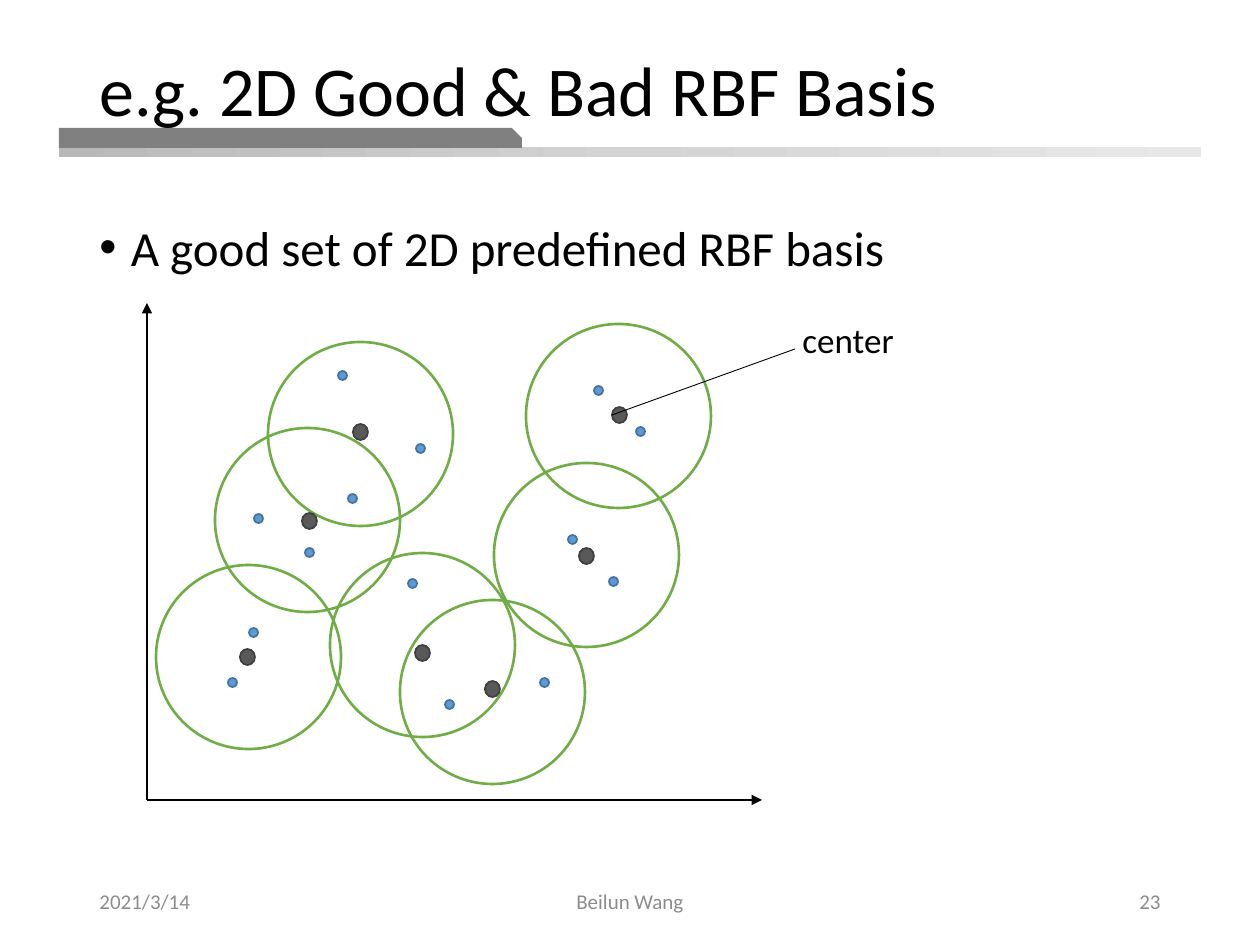
import copy
import pptx
import pptx.util
import pptx.dml.color
import pptx.enum.shapes
import pptx.enum.text
import pptx.oxml

PX = 914400 / 126
COLORS = {
    "text": "000000", "muted": "8C8C8C", "bar": "808080",
    "point": "5B9BD5", "point_line": "43739E", "ring": "70AD47",
    "center": "595959", "center_line": "404040",
}
BAND = ["B8B8B8", "D3D3D3", "E9E9E9"]
SHAPE = pptx.enum.shapes.MSO_SHAPE
ALIGN = pptx.enum.text.PP_ALIGN
ANCHOR = pptx.enum.text.MSO_ANCHOR
RGB = pptx.dml.color.RGBColor.from_string


def add_preset(kind, box, fill=None, line=None, width=1):
    sp = slide.shapes.add_shape(kind, *[round(v * PX) for v in box])
    sp.shadow.inherit = False
    if fill:
        sp.fill.solid()
        sp.fill.fore_color.rgb = RGB(COLORS[fill])
    else:
        sp.fill.background()
    if line:
        sp.line.color.rgb = RGB(COLORS[line])
        sp.line.width = pptx.util.Pt(width)
    else:
        sp.line.fill.background()
    return sp


def write(sp, box, text, size, color="text", align=ALIGN.LEFT, anchor=ANCHOR.TOP, wrap=True):
    sp.left, sp.top, sp.width, sp.height = [round(v * PX) for v in box]
    tf = sp.text_frame
    tf.text = text
    tf.word_wrap = wrap
    tf.auto_size = pptx.enum.text.MSO_AUTO_SIZE.NONE
    tf.vertical_anchor = anchor
    p = tf.paragraphs[0]
    p.alignment = align
    f = p.runs[0].font
    f.name = "Calibri"
    f.size = pptx.util.Pt(size)
    f.color.rgb = RGB(COLORS[color])
    return p


prs = pptx.Presentation()
prs.slide_width = round(1260 * PX)
prs.slide_height = round(945 * PX)
slide = prs.slides.add_slide(prs.slide_layouts[5])

band = add_preset(SHAPE.RECTANGLE, (59, 147, 1142, 10))
band.fill.gradient()
band.fill.gradient_angle = 0
first = band._element.xpath(".//a:gs")[0]
first.addnext(copy.deepcopy(first))
for i, (stop, color) in enumerate(zip(band.fill.gradient_stops, BAND)):
    stop.position = i / 2
    stop.color.rgb = RGB(color)

bar = add_preset(SHAPE.SNIP_1_RECTANGLE, (59, 128, 463, 20), "bar")
bar.adjustments[0] = 0.5

title = slide.shapes.title
slide.shapes._spTree.append(title._element)
p = write(title, (87, 50, 1056, 81), "e.g. 2D Good & Bad RBF Basis", 40)
p.line_spacing = 0.9

body = slide.shapes.add_textbox(0, 0, 0, 0)
p = write(body, (87, 223, 1086, 629), "A good set of 2D predefined RBF basis", 28)
p.line_spacing = 0.8
pPr = p._p.get_or_add_pPr()
pPr.set("marL", "228600")
pPr.set("indent", "-228600")
ns = pptx.oxml.ns.nsdecls("a")
pPr.append(pptx.oxml.parse_xml(f'<a:buFont {ns} typeface="Arial"/>'))
pPr.append(pptx.oxml.parse_xml(f'<a:buChar {ns} char="•"/>'))

for x, w, text, align in [
    (87, 284, "2021/3/14", ALIGN.LEFT),
    (417, 426, "Beilun Wang", ALIGN.CENTER),
    (890, 283, "23", ALIGN.RIGHT),
]:
    tb = slide.shapes.add_textbox(0, 0, 0, 0)
    write(tb, (x, 876, w, 50), text, 12, "muted", align, ANCHOR.MIDDLE)

points = [
    (228, 678), (348, 494), (416, 444), (568, 535), (594, 386), (540, 678),
    (609, 577), (445, 700), (254, 514), (636, 427), (408, 579), (338, 371),
    (249, 628), (305, 548),
]
rings = [(268, 342), (156, 565), (494, 463), (526, 324), (400, 600), (215, 428), (330, 553)]
centers = [(612, 407), (353, 424), (485, 681), (579, 548), (415, 645), (302, 513), (240, 649)]

for spots, w, h, fill, line, width in [
    (points, 9, 9, "point", "point_line", 1),
    (rings, 185, 184, None, "ring", 1.5),
    (centers, 15, 16, "center", "center_line", 1),
]:
    for x, y in spots:
        add_preset(SHAPE.OVAL, (x, y, w, h), fill, line, width)

for ends, width, arrow in [
    ((147, 800, 762, 800), 1.5, True),
    ((147, 800, 147, 303), 1.5, True),
    ((612, 415, 795, 349), 0.5, False),
]:
    ln = slide.shapes.add_connector(
        pptx.enum.shapes.MSO_CONNECTOR.STRAIGHT, *[round(v * PX) for v in ends])
    ln.line.color.rgb = RGB(COLORS["text"])
    ln.line.width = pptx.util.Pt(width)
    if arrow:
        ln.line._get_or_add_ln().append(
            pptx.oxml.parse_xml(f'<a:tailEnd {ns} type="triangle"/>'))
    ln._element.spPr.append(pptx.oxml.parse_xml(f"<a:effectLst {ns}/>"))

label = slide.shapes.add_textbox(0, 0, 0, 0)
write(label, (790, 312, 118, 55), "center", 20, wrap=False)

prs.save("out.pptx")
